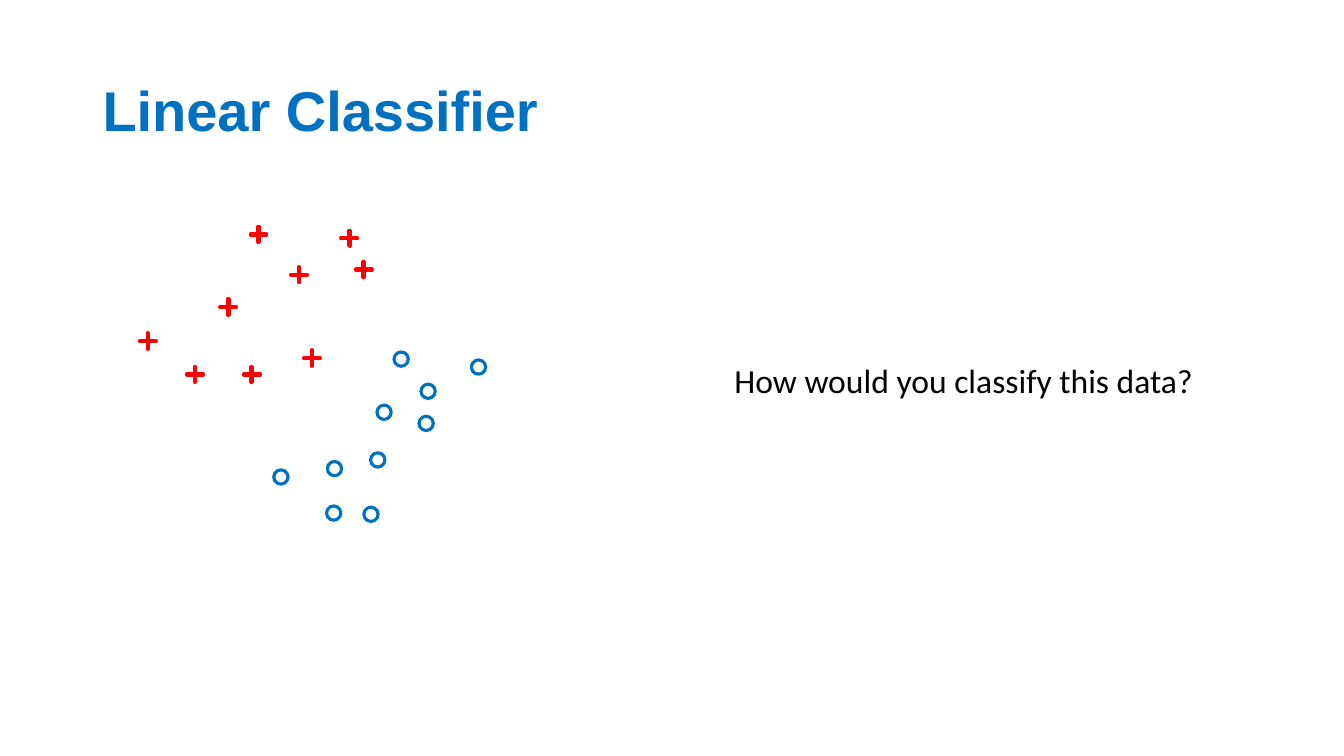
"""Build the slide that introduces the linear classifier."""
from dataclasses import dataclass

from pptx import Presentation
from pptx.dml.color import RGBColor
from pptx.enum.shapes import MSO_SHAPE
from pptx.enum.text import MSO_ANCHOR, MSO_AUTO_SIZE, PP_ALIGN
from pptx.util import Cm, Pt

PLUS = MSO_SHAPE.MATH_PLUS
CIRCLE = MSO_SHAPE.FLOWCHART_CONNECTOR
MIDDLE = MSO_ANCHOR.MIDDLE
LEFT = PP_ALIGN.LEFT
NO_FIT = MSO_AUTO_SIZE.NONE
GROW = MSO_AUTO_SIZE.SHAPE_TO_FIT_TEXT
TITLE_ONLY = 5


@dataclass(frozen=True)
class Theme:
    """Colours, fonts and sizes of the slide."""

    blue: RGBColor = RGBColor(0x00, 0x70, 0xC0)
    red: RGBColor = RGBColor(0xFF, 0x00, 0x00)
    plus_fill: RGBColor = RGBColor(0x44, 0x72, 0xC4)
    black: RGBColor = RGBColor(0x00, 0x00, 0x00)
    heading_font: str = "Arial"
    body_font: str = "Calibri"
    heading_size: Pt = Pt(40)
    body_size: Pt = Pt(24)
    plus_line: Pt = Pt(2.75)
    circle_line: Pt = Pt(2.25)


THEME = Theme()
TITLE_BOX = (2.33, 1.02, 29.21, 3.68)
SCATTER_BOX = (3.45, 5.64, 8.8, 7.5)
QUESTION_BOX = (18.26, 8.94, 12.6, 1.27)
PLUS_SIZE = (0.55, 0.53)
CIRCLE_SIZE = (0.36, 0.36)

PLUS_POINTS = [
    (2.03, 1.83), (5.44, 0.89), (2.62, 3.53), (4.14, 3.12), (3.81, 1.02),
    (2.79, 0), (0, 2.69), (5.08, 0.1), (1.19, 3.53),
]
CIRCLE_POINTS = [
    (6.05, 4.57), (5.89, 5.77), (5.72, 7.14), (4.8, 5.99), (3.45, 6.2),
    (4.78, 7.11), (6.48, 3.23), (7.11, 4.85), (8.43, 3.43), (7.16, 4.04),
]


def apply_format(target, values):
    """Set each attribute in values on the target."""
    for attribute, value in values.items():
        setattr(target, attribute, value)


def write_text(frame, text, color, font_values):
    """Fill a text frame with one left-aligned paragraph."""
    frame.text = text
    paragraph = frame.paragraphs[0]
    paragraph.alignment = LEFT
    font = paragraph.runs[0].font
    apply_format(font, font_values)
    font.color.rgb = color
    return paragraph


def place_title(slide, box):
    """Move the title placeholder into the box and format it."""
    title = slide.shapes.title
    apply_format(title, dict(zip(("left", "top", "width", "height"), map(Cm, box))))
    apply_format(title.text_frame, {
        "vertical_anchor": MIDDLE, "word_wrap": True, "auto_size": NO_FIT})
    heading = write_text(title.text_frame, "Linear Classifier", THEME.blue, {
        "name": THEME.heading_font, "size": THEME.heading_size, "bold": True})
    heading.line_spacing = 0.9


def add_marker(slide, kind, corner, size, color, line_width):
    """Draw one outlined data point with its corner at the given place."""
    marker = slide.shapes.add_shape(kind, *map(Cm, (*corner, *size)))
    marker.shadow.inherit = False
    marker.fill.background()
    marker.line.color.rgb = color
    marker.line.width = line_width
    return marker


def place_scatter(slide, box):
    """Draw both classes of data points relative to the box."""
    left, top = box[:2]
    for x, y in CIRCLE_POINTS:
        add_marker(slide, CIRCLE, (left + x, top + y), CIRCLE_SIZE,
                   THEME.blue, THEME.circle_line)
    for x, y in PLUS_POINTS:
        plus = add_marker(slide, PLUS, (left + x, top + y), PLUS_SIZE,
                          THEME.red, THEME.plus_line)
        plus.adjustments[0] = 0.03
        plus.fill.solid()
        plus.fill.fore_color.rgb = THEME.plus_fill


def place_question(slide, box):
    """Write the question to the audience in the box."""
    question = slide.shapes.add_textbox(*map(Cm, box))
    apply_format(question.text_frame, {"word_wrap": True, "auto_size": GROW})
    write_text(question.text_frame, "How would you classify this data?", THEME.black, {
        "name": THEME.body_font, "size": THEME.body_size})


def main():
    """Build and save the presentation."""
    presentation = Presentation()
    apply_format(presentation, {"slide_width": Cm(33.87), "slide_height": Cm(19.05)})
    slide = presentation.slides.add_slide(presentation.slide_layouts[TITLE_ONLY])
    place_title(slide, TITLE_BOX)
    place_scatter(slide, SCATTER_BOX)
    place_question(slide, QUESTION_BOX)
    presentation.save("out.pptx")


if __name__ == "__main__":
    main()
